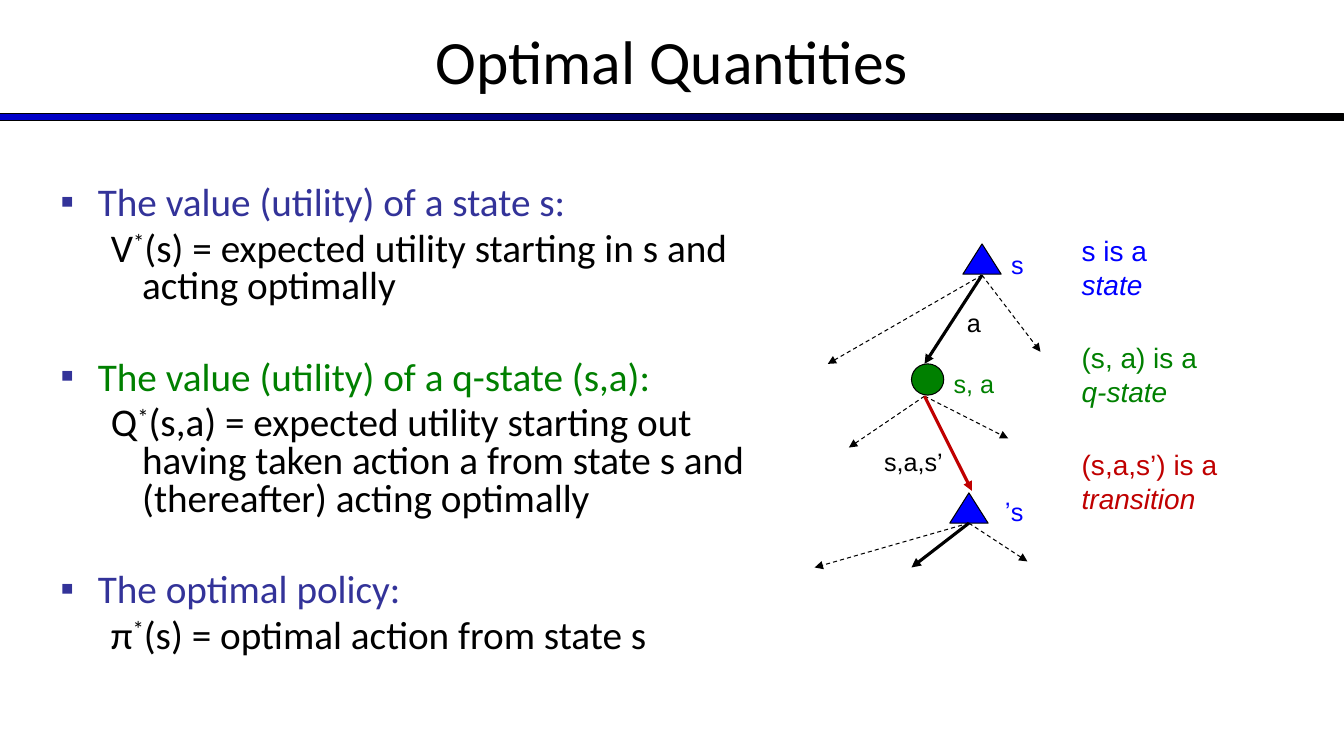
import pptx
import pptx.util
import pptx.dml.color
import pptx.enum.dml
import pptx.enum.shapes
import pptx.enum.text
import pptx.oxml
import pptx.oxml.ns

Inches, Pt = pptx.util.Inches, pptx.util.Pt
SHAPE = pptx.enum.shapes.MSO_SHAPE
ALIGN = pptx.enum.text.PP_ALIGN

BLACK, INDIGO, BLUE, GREEN, RED = "000000", "333399", "0000FF", "008000", "C00000"

TITLE = "Optimal Quantities"
# heading, colour, symbol, definition, space before the heading in points
QUANTITIES = [
    ("The value (utility) of a state s:", INDIGO, "V",
     "(s) = expected utility starting in s and acting optimally", 0),
    ("The value (utility) of a q-state (s,a):", GREEN, "Q",
     "(s,a) = expected utility starting out having taken action a "
     "from state s and (thereafter) acting optimally", 38.5),
    ("The optimal policy:", INDIGO, "π", "(s) = optimal action from state s", 38.5),
]
# shape, colour, left, top, width, height
NODES = [
    (SHAPE.ISOSCELES_TRIANGLE, BLUE, 9.55, 2.42, 0.38, 0.3),
    (SHAPE.OVAL, GREEN, 9.04, 3.61, 0.32, 0.31),
    (SHAPE.ISOSCELES_TRIANGLE, BLUE, 9.42, 4.89, 0.38, 0.3),
]
# start of a fan, then (dx, dy, colour, is the chosen branch)
FANS = [
    ((9.74, 2.73), [(-1.53, 0.88, BLACK, False), (-0.57, 0.88, BLACK, True),
                    (0.58, 0.76, BLACK, False)]),
    ((9.17, 3.93), [(-0.75, 0.51, BLACK, False), (0.83, 0.42, BLACK, False),
                    (0.47, 0.94, RED, True)]),
    ((9.61, 5.19), [(-1.53, 0.44, BLACK, False), (-0.57, 0.44, BLACK, True),
                    (0.58, 0.38, BLACK, False)]),
]
# text, colour, left, top, width, height, right to left
LABELS = [
    ("s", BLUE, 9.93, 2.42, 0.32, 0.4, False),
    ("a", BLACK, 9.49, 3, 0.32, 0.3, False),
    ("s, a", GREEN, 9.36, 3.61, 0.64, 0.4, False),
    ("s,a,s’", BLACK, 8.67, 4.38, 0.9, 0.3, False),
    ("s’", BLUE, 9.83, 4.87, 0.42, 0.4, True),
]
# subject, term, colour, top
LEGEND = [
    ("s is a", "state", BLUE, 2.27),
    ("(s, a) is a", "q-state", GREEN, 3.33),
    ("(s,a,s’) is a", "transition", RED, 4.39),
]


def rgb(value):
    return pptx.dml.color.RGBColor.from_string(value)


def place(shape, left, top, width, height):
    shape.left, shape.top = Inches(left), Inches(top)
    shape.width, shape.height = Inches(width), Inches(height)


def add_xml(parent, tag, **attributes):
    element = pptx.oxml.parse_xml(f"<a:{tag} {pptx.oxml.ns.nsdecls('a')}/>")
    for name, value in attributes.items():
        element.set(name, value)
    parent.append(element)
    return element


def write(paragraph, text, size, color, font="Calibri", italic=False, raised=False):
    run = paragraph.add_run()
    run.text = text
    run.font.name, run.font.size = font, Pt(size)
    run.font.color.rgb = rgb(color)
    run.font.italic = italic
    if raised:
        run._r.get_or_add_rPr().set("baseline", "30000")


def add_paragraph(frame, level, indent, hanging, before):
    paragraph = frame.paragraphs[0]
    if paragraph.runs:
        paragraph = frame.add_paragraph()
    paragraph.level = level
    paragraph.line_spacing = 0.8
    paragraph.space_before, paragraph.space_after = Pt(before), Pt(0)
    properties = paragraph._p.get_or_add_pPr()
    properties.set("marL", str(Inches(indent)))
    properties.set("indent", str(Inches(-hanging)))
    if level:
        add_xml(properties, "buNone")
    else:
        add_xml(add_xml(properties, "buClr"), "srgbClr", val=INDIGO)
        add_xml(properties, "buFont", typeface="Arial")
        add_xml(properties, "buChar", char="▪")
    return paragraph


def add_label(shapes, left, top, width, height):
    """Add a wrapping text box and return its first paragraph."""
    box = shapes.add_textbox(*map(Inches, (left, top, width, height)))
    box.text_frame.word_wrap = True
    return box.text_frame.paragraphs[0]


def add_outlined(shapes, kind, left, top, width, height):
    shape = shapes.add_shape(kind, *map(Inches, (left, top, width, height)))
    shape.shadow.inherit = False
    shape.line.color.rgb, shape.line.width = rgb(BLACK), Pt(0.75)
    return shape


def add_arrow(shapes, start, dx, dy, color, chosen):
    x, y = start
    arrow = shapes.add_connector(pptx.enum.shapes.MSO_CONNECTOR.STRAIGHT,
                                 *map(Inches, (x, y, x + dx, y + dy)))
    arrow.line.color.rgb = rgb(color)
    arrow.line.width = Pt(2.25 if chosen else 0.75)
    if not chosen:
        arrow.line.dash_style = pptx.enum.dml.MSO_LINE.DASH
    add_xml(arrow.line._get_or_add_ln(), "tailEnd", type="triangle")
    add_xml(arrow._element.spPr, "effectLst")


def main():
    deck = pptx.Presentation()
    deck.slide_width, deck.slide_height = Inches(13.33), Inches(7.5)
    slide = deck.slides.add_slide(deck.slide_layouts[1])
    shapes = slide.shapes

    title, body = shapes.title, slide.placeholders[1]
    place(title, 0, -0.03, 13.33, 1.25)
    place(body, 0.5, 1.25, 7.33, 5.42)
    for holder in (title, body):
        holder.text_frame.auto_size = pptx.enum.text.MSO_AUTO_SIZE.NONE
        holder.text_frame.word_wrap = True
    body.text_frame.margin_top = Inches(0.6)
    title.text_frame.vertical_anchor = pptx.enum.text.MSO_ANCHOR.MIDDLE
    heading_line = title.text_frame.paragraphs[0]
    heading_line.alignment = ALIGN.CENTER
    write(heading_line, TITLE, 44, BLACK)

    bar = add_outlined(shapes, SHAPE.RECTANGLE, 0, 1.13, 13.33, 0.07)
    bar.fill.gradient()
    bar.fill.gradient_angle = 0
    for stop, color in zip(bar.fill.gradient_stops, ("0000CC", BLACK)):
        stop.color.rgb = rgb(color)

    for heading, color, symbol, definition, before in QUANTITIES:
        write(add_paragraph(body.text_frame, 0, 0.37, 0.37, before), heading, 28, color)
        formula = add_paragraph(body.text_frame, 1, 0.81, 0.31, 5.6)
        write(formula, symbol, 28, BLACK)
        write(formula, "*", 28, BLACK, raised=True)
        write(formula, definition, 28, BLACK)

    for kind, color, *box in NODES:
        node = add_outlined(shapes, kind, *box)
        node.fill.solid()
        node.fill.fore_color.rgb = rgb(color)
    for start, branches in FANS:
        for branch in branches:
            add_arrow(shapes, start, *branch)

    for text, color, *box, right_to_left in LABELS:
        label = add_label(shapes, *box)
        if right_to_left:
            label.alignment = ALIGN.RIGHT
            label._p.get_or_add_pPr().set("rtl", "1")
        write(label, text, 18, color, font="Arial")

    for subject, term, color, top in LEGEND:
        entry = add_label(shapes, 10.63, top, 2.37, 0.77)
        write(entry, subject, 20, color, font="Arial")
        entry.add_line_break()
        write(entry, term, 20, color, font="Arial", italic=True)

    deck.save("out.pptx")


if __name__ == "__main__":
    main()
